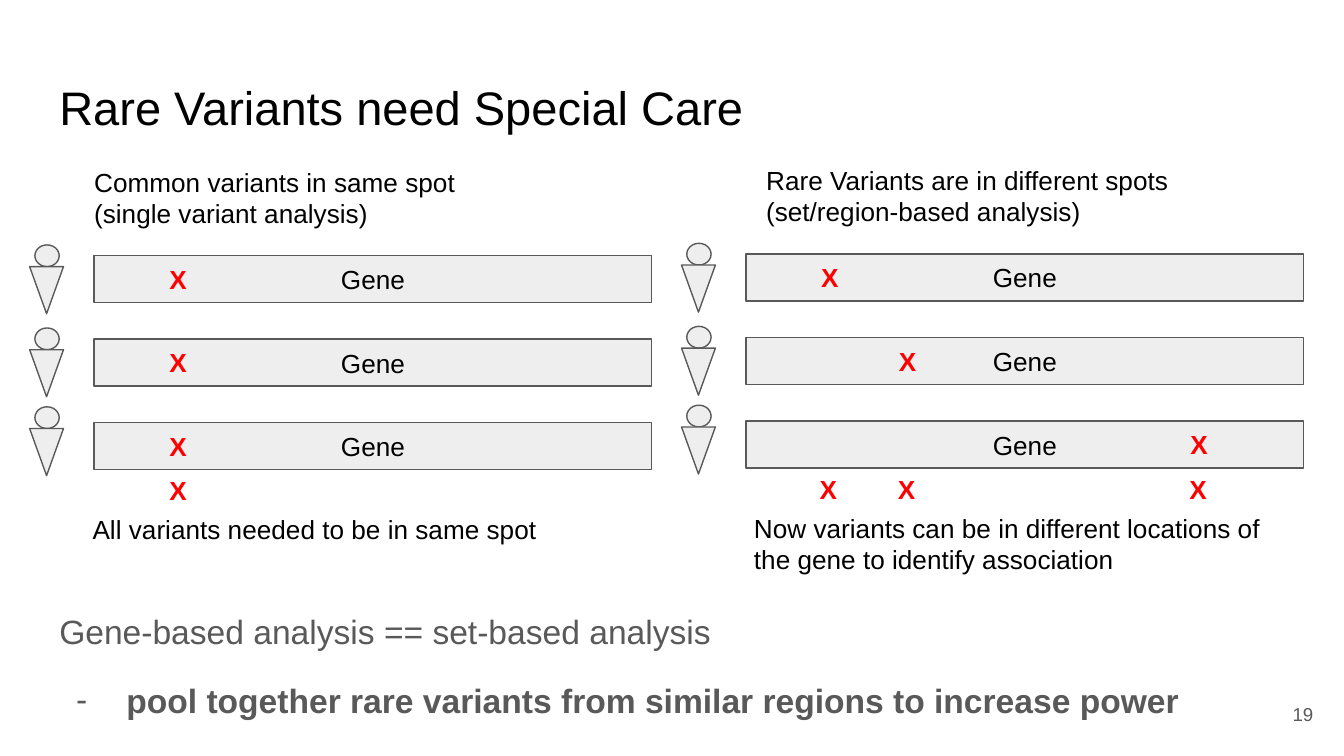
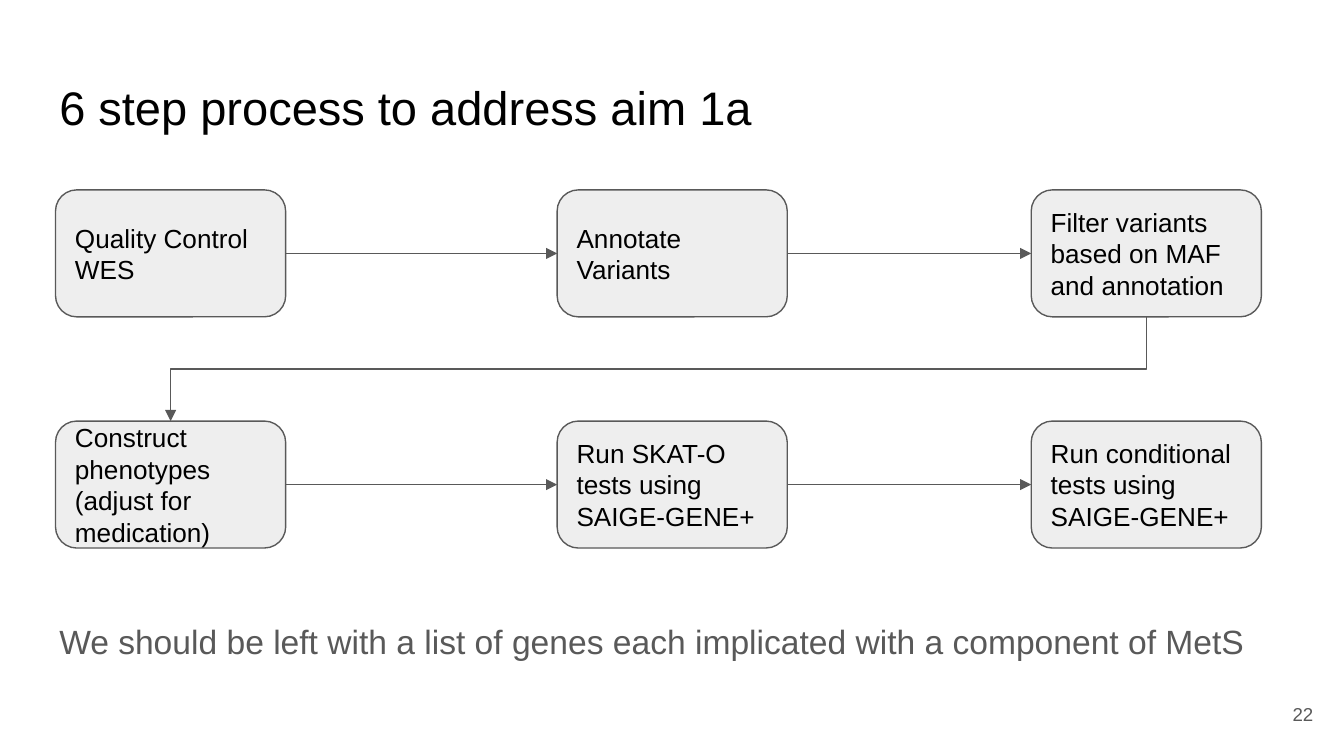
import pptx
import pptx.util
import pptx.dml.color
import pptx.enum.shapes
import pptx.enum.text
import pptx.oxml.ns
import pptx.oxml.xmlchemy

Cm = pptx.util.Cm
Pt = pptx.util.Pt
SHAPE = pptx.enum.shapes.MSO_SHAPE
CONNECTOR = pptx.enum.shapes.MSO_CONNECTOR
ALIGN = pptx.enum.text.PP_ALIGN
ANCHOR = pptx.enum.text.MSO_ANCHOR

COLORS = {"ink": "000000", "grey": "595959", "fill": "EEEEEE", "variant": "FF0000"}
FONT = "Arial"
INSET = 0.25


def rgb(name):
    return pptx.dml.color.RGBColor.from_string(COLORS[name])


def place(shape, left, top, width, height):
    shape.left, shape.top, shape.width, shape.height = map(Cm, (left, top, width, height))


def write(shape, text, size=14, color="ink", bold=False, align=ALIGN.LEFT, anchor=ANCHOR.TOP):
    frame = shape.text_frame
    frame.text = text
    frame.word_wrap = True
    frame.auto_size = pptx.enum.text.MSO_AUTO_SIZE.NONE
    frame.vertical_anchor = anchor
    frame.margin_left = frame.margin_right = Cm(INSET)
    frame.margin_top = frame.margin_bottom = Cm(INSET)
    for paragraph in frame.paragraphs:
        paragraph.alignment = align
        for run in paragraph.runs:
            run.font.name = FONT
            run.font.size = Pt(size)
            run.font.bold = bold
            run.font.color.rgb = rgb(color)


def label(slide, box, text, **style):
    write(slide.shapes.add_textbox(*map(Cm, box)), text, **style)


def outlined(shapes, kind, box):
    shape = shapes.add_shape(kind, *map(Cm, box))
    shape.shadow.inherit = False
    shape.fill.solid()
    shape.fill.fore_color.rgb = rgb("fill")
    shape.line.color.rgb = rgb("grey")
    shape.line.width = Pt(0.75)
    return shape


def add_xml(parent, tag, **attributes):
    element = pptx.oxml.xmlchemy.OxmlElement(tag)
    for key, value in attributes.items():
        element.set(key, value)
    parent.append(element)
    return element


def arrow(slide, start, end, kind=CONNECTOR.STRAIGHT):
    connector = slide.shapes.add_connector(kind, *map(Cm, start + end))
    connector.line.color.rgb = rgb("grey")
    connector.line.width = Pt(0.75)
    properties = connector._element.spPr
    add_xml(properties.find(pptx.oxml.ns.qn("a:ln")), "a:tailEnd", type="triangle")
    add_xml(properties, "a:effectLst")
    return connector


def base_slide(deck, title, number):
    """Add a slide with its title and slide number."""
    slide = deck.slides.add_slide(deck.slide_layouts[1])
    place(slide.shapes.title, 0.87, 1.24, 23.67, 1.6)
    write(slide.shapes.title, title, size=25.2)
    label(slide, (23.55, 12.95, 1.52, 1.09), number, size=10, color="grey",
          align=ALIGN.RIGHT, anchor=ANCHOR.MIDDLE)
    return slide


def body_text(slide, box, lines):
    """Fill the body placeholder; a line starting with a dash becomes a bold list item."""
    body = slide.placeholders[1]
    place(body, *box)
    write(body, "\n".join(line.removeprefix("- ") for line in lines), size=18, color="grey")
    for paragraph, line in zip(body.text_frame.paragraphs, lines):
        listed = line.startswith("- ")
        properties = paragraph._p.get_or_add_pPr()
        properties.set("marL", str(Cm(1.27 if listed else 0)))
        properties.set("indent", str(Cm(-0.95 if listed else 0)))
        paragraph.line_spacing = 1.15
        paragraph.space_before = Pt(12 if listed else 0)
        if listed:
            add_xml(add_xml(properties, "a:buClr"), "a:srgbClr", val=COLORS["grey"])
            add_xml(properties, "a:buChar", char="-")
            paragraph.runs[0].font.bold = True
        else:
            add_xml(properties, "a:buNone")


def person(slide, left, top):
    figure = slide.shapes.add_group_shape()
    outlined(figure.shapes, SHAPE.OVAL, (left + 0.1, top, 0.46, 0.41))
    torso = outlined(figure.shapes, SHAPE.ISOSCELES_TRIANGLE, (left, top + 0.41, 0.64, 0.89))
    torso.rotation = 180


def variant_panel(slide, left, top, caption, caption_shift, variants, pooled,
                  conclusion, conclusion_shift):
    """Three people with their genes; positions are relative to the first gene bar."""
    def mark(x, y):
        label(slide, (left + x, top + y, 1.57, 1.12), "X", color="variant", bold=True)

    for person_top in (-0.2, 1.37, 2.86):
        person(slide, left - 1.22, top + person_top)
    for row, variant in enumerate(variants):
        bar_top = 1.58 * row
        gene = outlined(slide.shapes, SHAPE.RECTANGLE, (left, top + bar_top, 10.54, 0.89))
        write(gene, "Gene", align=ALIGN.CENTER, anchor=ANCHOR.MIDDLE)
        mark(variant, bar_top - 0.11)
    for variant in pooled:
        mark(variant, 3.89)
    label(slide, (left + caption_shift, top - 1.94, 10.54, 1.7), caption)
    label(slide, (left + conclusion_shift, top + 4.63, 10.46, 1.7), conclusion)


def rare_variants_slide(deck):
    slide = base_slide(deck, "Rare Variants need Special Care", "19")
    variant_panel(slide, 1.78, 4.83,
                  "Common variants in same spot\n(single variant analysis)", -0.25,
                  (1.17, 1.17, 1.17), (1.17,),
                  "All variants needed to be in same spot", -0.28)
    variant_panel(slide, 14.1, 4.8,
                  "Rare Variants are in different spots\n(set/region-based analysis)", 0.13,
                  (1.17, 2.64, 8.15), (1.14, 2.62, 8.13),
                  "Now variants can be in different locations of the gene "
                  "to identify association", -0.1)
    body_text(slide, (0.87, 11.18, 23.67, 2.84),
              ["Gene-based analysis == set-based analysis",
               "- pool together rare variants from similar regions to increase power"])


def process_flow(slide, left, top, rows):
    """Rows of step boxes joined by arrows, the rows linked by an elbow."""
    width, height, row_step = 4.35, 2.4, 4.37
    columns = [left + offset for offset in (0, 9.48, 18.44)]
    for row, steps in enumerate(rows):
        row_top = top + row * row_step
        middle = row_top + height / 2
        boxes = []
        for x, step in zip(columns, steps):
            box = outlined(slide.shapes, SHAPE.ROUNDED_RECTANGLE, (x, row_top, width, height))
            write(box, step, anchor=ANCHOR.MIDDLE)
            boxes.append(box)
        for x, next_x, box, next_box in zip(columns, columns[1:], boxes, boxes[1:]):
            link = arrow(slide, (x + width, middle), (next_x, middle))
            link.begin_connect(box, 3)
            link.end_connect(next_box, 1)

    # The elbow is laid out upright, then turned a quarter about its centre
    drop, span = row_step - height, columns[-1] - columns[0]
    center_x = (columns[0] + columns[-1] + width) / 2
    center_y = top + height + drop / 2
    elbow = arrow(slide, (center_x - drop / 2, center_y - span / 2),
                  (center_x + drop / 2, center_y + span / 2), CONNECTOR.ELBOW)
    elbow._element.spPr.find(pptx.oxml.ns.qn("a:xfrm")).set("rot", str(90 * 60000))


def process_slide(deck):
    slide = base_slide(deck, "6 step process to address aim 1a", "22")
    process_flow(slide, 1.05, 3.59, [
        ("Quality Control WES", "Annotate Variants",
         "Filter variants based on MAF and annotation"),
        ("Construct phenotypes (adjust for medication)", "Run SKAT-O tests using SAIGE-GENE+",
         "Run conditional tests using SAIGE-GENE+"),
    ])
    body_text(slide, (0.87, 11.38, 23.67, 1.32),
              ["We should be left with a list of genes each implicated with a component of MetS"])


def main():
    deck = pptx.Presentation()
    deck.slide_width, deck.slide_height = Cm(25.4), Cm(14.29)
    rare_variants_slide(deck)
    process_slide(deck)
    deck.save("out.pptx")


if __name__ == "__main__":
    main()
